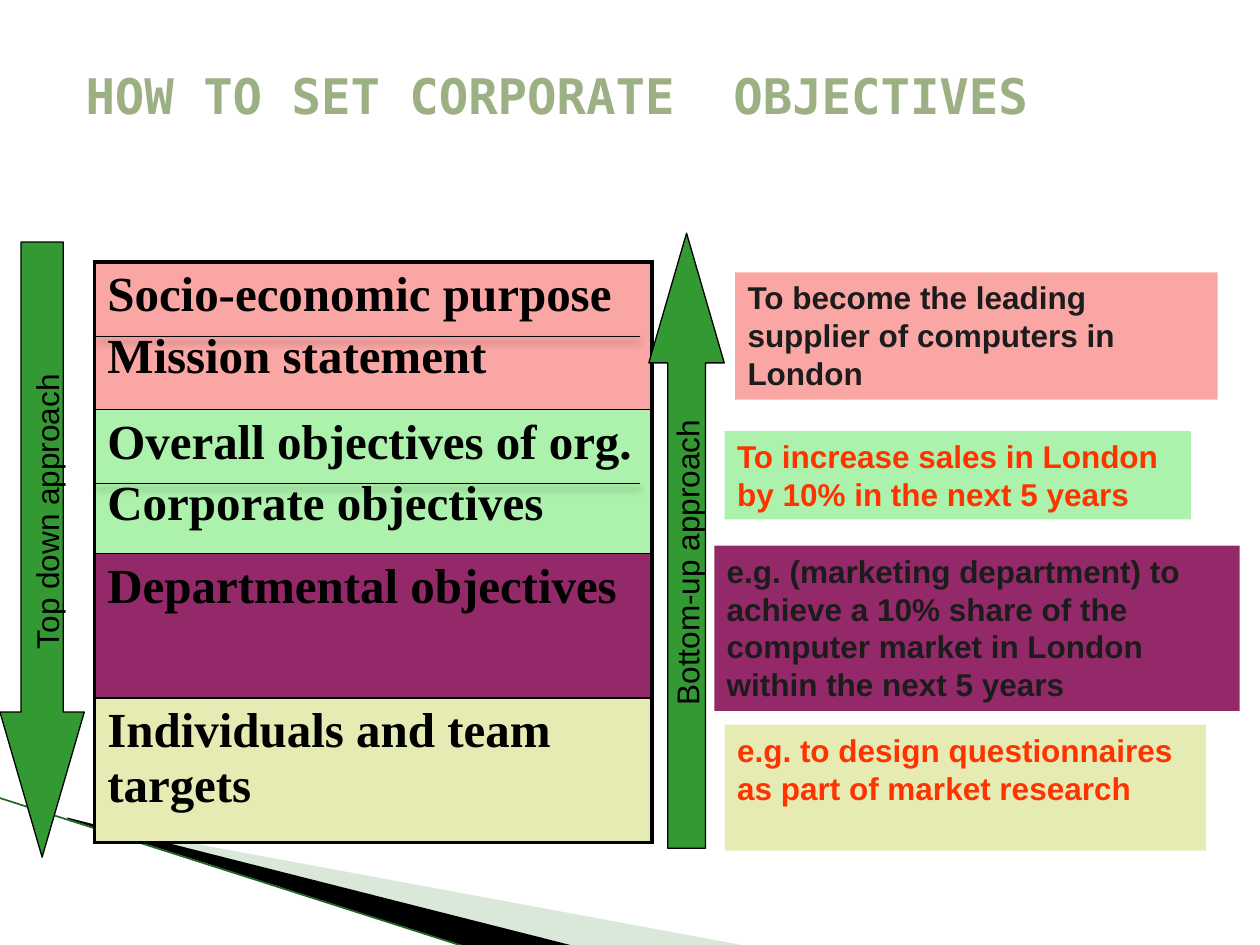
import pptx
import pptx.dml.color
import pptx.enum.shapes
import pptx.enum.text
import pptx.oxml
import pptx.oxml.ns
import pptx.util
from lxml import etree

Cm, Pt = pptx.util.Cm, pptx.util.Pt
SHAPES = pptx.enum.shapes.MSO_SHAPE
ANCHOR = pptx.enum.text.MSO_ANCHOR
ALIGN = pptx.enum.text.PP_ALIGN
COLORS = {
    "title": "9CB084", "black": "000000", "ink": "1C1C1C", "red": "FF3300",
    "arrow": "339933", "sage": "A2C7A2", "edge": "226622",
    "pink": "FAA6A4", "mint": "ACF2AC", "plum": "932968", "straw": "E6EBB3",
}


def rgb(name):
    return pptx.dml.color.RGBColor.from_string(COLORS[name])


def sub(parent, tag, **attributes):
    return etree.SubElement(parent, pptx.oxml.ns.qn(tag), attributes)


class SlideBuilder:
    """Holds the style and the current slide."""

    def __init__(self, page):
        self.page = page
        self.shapes = page.shapes

    def add_text(self, para, text, size, font, color, bold=False):
        para.alignment = ALIGN.LEFT
        span = para.add_run()
        span.text = text
        span.font.size = Pt(size)
        span.font.name = font
        span.font.bold = bold
        span.font.color.rgb = rgb(color)

    def title(self, text, left, top, width, height):
        box = self.shapes.title
        box.left, box.top, box.width, box.height = map(Cm, (left, top, width, height))
        box.text_frame.vertical_anchor = ANCHOR.MIDDLE
        self.add_text(box.text_frame.paragraphs[0], text, 28, "DejaVu Sans Mono", "title", True)

    def paint(self, shape, fill, outline=None):
        shape.shadow.inherit = False
        shape.fill.solid()
        shape.fill.fore_color.rgb = rgb(fill)
        if outline:
            shape.line.color.rgb = rgb(outline)
            shape.line.width = Pt(0.75)
        else:
            shape.line.fill.background()

    def wedge(self, points, fill, opacity=100):
        corners = [(Cm(x), Cm(y)) for x, y in points]
        builder = self.shapes.build_freeform(*corners[0], scale=1.0)
        builder.add_line_segments(corners[1:], close=True)
        shape = builder.convert_to_shape()
        self.paint(shape, fill)
        if opacity < 100:
            color = shape.element.spPr.find(".//" + pptx.oxml.ns.qn("a:srgbClr"))
            sub(color, "a:alpha", val=str(opacity * 1000))

    def line(self, start, end, color, width, shadow=False):
        rule = self.shapes.add_connector(
            pptx.enum.shapes.MSO_CONNECTOR.STRAIGHT, *map(Cm, start + end))
        rule.line.color.rgb = rgb(color)
        rule.line.width = Pt(width)
        effects = sub(rule.element.spPr, "a:effectLst")
        if shadow:
            outer = sub(effects, "a:outerShdw", blurRad=str(Pt(4)), dist=str(Pt(3)),
                        dir="5400000", rotWithShape="0")
            shade = sub(outer, "a:srgbClr", val=COLORS["black"])
            sub(shade, "a:alpha", val="40000")

    def arrow(self, left, top, width, height, rotation=0):
        shape = self.shapes.add_shape(SHAPES.DOWN_ARROW, *map(Cm, (left, top, width, height)))
        shape.adjustments[0] = 0.5
        shape.adjustments[1] = 1.72
        shape.rotation = rotation
        self.paint(shape, "arrow", "black")

    def example(self, text, left, top, width, height, fill, color):
        box = self.shapes.add_shape(SHAPES.RECTANGLE, *map(Cm, (left, top, width, height)))
        self.paint(box, fill)
        box.text_frame.word_wrap = True
        box.text_frame.vertical_anchor = ANCHOR.TOP
        self.add_text(box.text_frame.paragraphs[0], text, 18, "Arial", color, True)

    def upright_label(self, text, left, top, width, height):
        box = self.shapes.add_textbox(*map(Cm, (left, top, width, height)))
        box.rotation = 270
        box.text_frame.word_wrap = True
        self.add_text(box.text_frame.paragraphs[0], text, 18, "Arial", "black")

    def border(self, cell, side, width):
        edge = sub(cell._tc.get_or_add_tcPr(), "a:ln" + side, w=str(Pt(width)))
        sub(sub(edge, "a:solidFill"), "a:srgbClr", val=COLORS["black"])

    def levels(self, rows, left, top, width, heights):
        frame = self.shapes.add_table(
            len(rows), 1, *map(Cm, (left, top, width, sum(heights))))
        table = frame.table
        table.first_row = table.horz_banding = False
        last = len(rows) - 1
        for index, (texts, fill) in enumerate(rows):
            table.rows[index].height = Cm(heights[index])
            cell = table.cell(index, 0)
            widths = {"L": 2.25, "R": 2.25, "T": 1 if index else 2.25,
                      "B": 1 if index < last else 2.25}
            for side, weight in widths.items():
                self.border(cell, side, weight)
            cell.fill.solid()
            cell.fill.fore_color.rgb = rgb(fill)
            for number, text in enumerate(texts):
                if number:
                    para = cell.text_frame.add_paragraph()
                    para.space_before = Pt(4)
                else:
                    para = cell.text_frame.paragraphs[0]
                self.add_text(para, text, 28, "Times New Roman", "black", True)


def main():
    deck = pptx.Presentation()
    deck.slide_width, deck.slide_height = Cm(25.4), Cm(19.05)
    builder = SlideBuilder(deck.slides.add_slide(deck.slide_layouts[5]))

    # Corner decoration
    builder.wedge([(1.4, 16.54), (15.11, 19.08), (11.58, 19.08), (1.4, 16.51)], "sage", 40)
    builder.wedge([(1.35, 16.48), (11.61, 19.08), (9.45, 19.1), (1.37, 16.51)], "black")
    builder.line((-0.03, 16.08), (9.42, 19.1), "edge", 0.95)

    builder.title("HOW TO SET CORPORATE  OBJECTIVES", 1.47, 1.07, 22.23, 1.7)

    # Hierarchy of objectives
    builder.levels([
        (["Socio-economic purpose", "Mission statement"], "pink"),
        (["Overall objectives of org.", "Corporate objectives"], "mint"),
        (["Departmental objectives"], "plum"),
        (["Individuals and team targets"], "straw"),
    ], 1.91, 5.28, 11.23, [2.97, 2.91, 2.91, 2.91])
    builder.arrow(0, 4.88, 1.7, 12.4)

    # Example for each level
    for example in [
        ("To become the leading supplier of computers in London",
         14.82, 5.49, 9.73, 2.57, "pink", "ink"),
        ("To increase sales in London by 10% in the next 5 years",
         14.61, 8.69, 9.4, 1.78, "mint", "red"),
        ("e.g. (marketing department) to achieve a 10% share of the computer market "
         "in London within the next 5 years",
         14.4, 11, 10.59, 3.33, "plum", "ink"),
        ("e.g. to design questionnaires as part of market research",
         14.61, 14.61, 9.7, 2.54, "straw", "red"),
    ]:
        builder.example(*example)
    builder.arrow(13.08, 4.7, 1.52, 12.4, rotation=180)

    # Dividers inside the two upper levels
    for height in (6.78, 9.74):
        builder.line((1.91, height), (12.9, height), "black", 0.75, shadow=True)

    # Arrow labels
    builder.upright_label("Top down approach", -2.13, 9.75, 6.15, 1.02)
    builder.upright_label("Bottom-up approach", 10.69, 10.8, 6.32, 1.02)

    deck.save("out.pptx")


if __name__ == "__main__":
    main()
